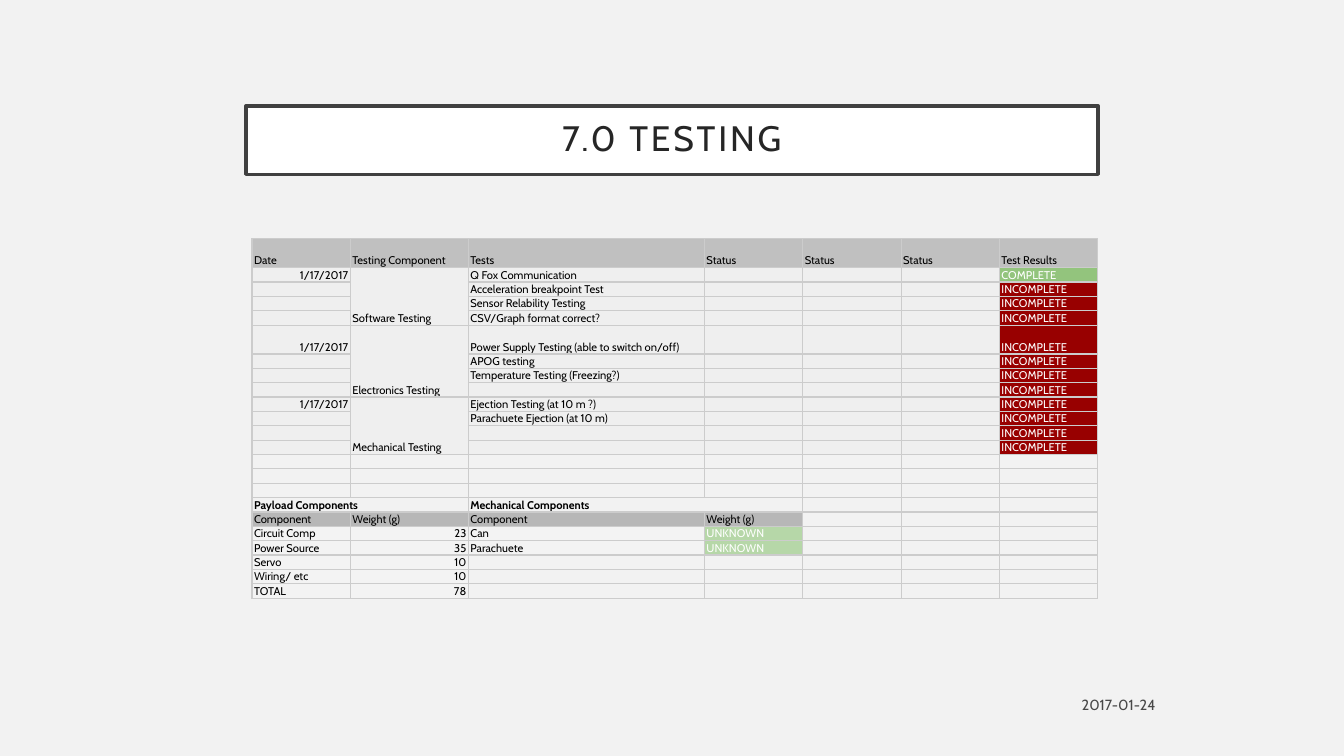
import dataclasses

import lxml.etree
import pptx
import pptx.dml.color
import pptx.enum.text
import pptx.oxml
import pptx.oxml.ns
import pptx.util

ALIGN = pptx.enum.text.PP_ALIGN
ANCHOR = pptx.enum.text.MSO_ANCHOR
INCH = pptx.util.Inches


@dataclasses.dataclass(frozen=True)
class Theme:
    """Colours and type sizes of the slide."""

    font: str = "Cabin"
    background: str = "F2F2F2"
    panel: str = "FFFFFF"
    frame: str = "404040"
    heading: str = "262626"
    muted: str = "494949"
    ink: str = "000000"
    light: str = "FFFFFF"
    rule: str = "CCCCCC"
    header: str = "C0C0C0"
    subheader: str = "B7B7B7"
    test: str = "EFEFEF"
    weight: str = "F3F3F3"
    complete: str = "93C47D"
    incomplete: str = "980000"
    unknown: str = "B6D7A8"
    title_size: float = 25.2
    date_size: float = 10.5
    table_size: float = 8


THEME = Theme()
STATUS_FILLS = {
    "COMPLETE": THEME.complete,
    "INCOMPLETE": THEME.incomplete,
    "UNKNOWN": THEME.unknown,
}
COLUMN_UNITS = (5, 6, 12, 5, 5, 5, 5)
HEADINGS = ("Date", "Testing Component", "Tests", "Status", "Status", "Status", "Test Results")
TEST_DATE = "1/17/2017"
TEST_GROUPS = {
    "Software Testing": (
        "Q Fox Communication",
        "Acceleration breakpoint Test",
        "Sensor Relability Testing",
        "CSV/Graph format correct?",
    ),
    "Electronics Testing": (
        "Power Supply Testing (able to switch on/off)",
        "APOG testing",
        "Temperature Testing (Freezing?)",
        "",
    ),
    "Mechanical Testing": (
        "Ejection Testing (at 10 m ?)",
        "Parachuete Ejection (at 10 m)",
        "",
        "",
    ),
}
SPACER_ROWS = 3
COMPONENT_ROWS = (
    ("Component", "Weight (g)", "Component", "Weight (g)"),
    ("Circuit Comp", "23", "Can", "UNKNOWN"),
    ("Power Source", "35", "Parachuete", "UNKNOWN"),
    ("Servo", "10", "", ""),
    ("Wiring/ etc", "10", "", ""),
    ("TOTAL", "78", "", ""),
)
TEST_ROWS = sum(len(tests) for tests in TEST_GROUPS.values())
COMPONENTS_TOP = 1 + TEST_ROWS + SPACER_ROWS
ROW_COUNT = COMPONENTS_TOP + 1 + len(COMPONENT_ROWS)
TALL_ROWS = (0, 5)


def rgb(value):
    """Return a colour object for a hex value."""
    return pptx.dml.color.RGBColor.from_string(value)


def write(paragraph, words, size, colour, align, bold=False):
    """Add one formatted run to a paragraph and return it."""
    paragraph.alignment = align
    run = paragraph.add_run()
    run.text = words
    run.font.name = THEME.font
    run.font.size = pptx.util.Pt(size)
    run.font.bold = bold
    run.font.color.rgb = rgb(colour)
    return run


def add_title(slide, box):
    """Place the framed slide title in its box."""
    title = slide.shapes.title
    title.left, title.top, title.width, title.height = box
    title.fill.solid()
    title.fill.fore_color.rgb = rgb(THEME.panel)
    title.line.color.rgb = rgb(THEME.frame)
    title.line.width = pptx.util.Pt(2.5)
    frame = title.text_frame
    frame.auto_size = pptx.enum.text.MSO_AUTO_SIZE.NONE
    frame.word_wrap = True
    frame.vertical_anchor = ANCHOR.MIDDLE
    frame.margin_left = frame.margin_right = INCH(0.2)
    frame.margin_top = frame.margin_bottom = INCH(0.2)
    heading = frame.paragraphs[0]
    heading.line_spacing = 0.9
    run = write(heading, "7.0 TESTING", THEME.title_size, THEME.heading, ALIGN.CENTER)
    run.font._element.set("spc", "200")


def add_date(slide, box):
    """Place the right-aligned date in its box."""
    frame = slide.shapes.add_textbox(*box).text_frame
    frame.word_wrap = True
    frame.vertical_anchor = ANCHOR.MIDDLE
    write(frame.paragraphs[0], "2017-01-24", THEME.date_size, THEME.muted, ALIGN.RIGHT)


def draw_borders(cell):
    """Rule all four sides of a cell."""
    properties = cell._tc.get_or_add_tcPr()
    for index, side in enumerate(("lnL", "lnR", "lnT", "lnB")):
        properties.insert(index, pptx.oxml.parse_xml(
            f'<a:{side} {pptx.oxml.ns.nsdecls("a")} w="12700"><a:solidFill>'
            f'<a:srgbClr val="{THEME.rule}"/></a:solidFill></a:{side}>'))


def fill_cell(cell, words="", fill=None, align=ALIGN.LEFT, bold=False):
    """Fill, rule and letter one table cell."""
    fill = STATUS_FILLS.get(words, fill)
    if fill:
        cell.fill.solid()
        cell.fill.fore_color.rgb = rgb(fill)
    else:
        cell.fill.background()
    draw_borders(cell)
    cell.vertical_anchor = ANCHOR.BOTTOM
    cell.margin_left = cell.margin_right = INCH(0.02)
    cell.margin_top = cell.margin_bottom = 0
    paragraph = cell.text_frame.paragraphs[0]
    if words:
        colour = THEME.light if words in STATUS_FILLS else THEME.ink
        write(paragraph, words, THEME.table_size, colour, align, bold)
    else:
        ending = lxml.etree.SubElement(paragraph._p, pptx.oxml.ns.qn("a:endParaRPr"))
        ending.set("sz", str(int(THEME.table_size * 100)))


def collect_cells():
    """Return the contents of the lettered or filled cells by position."""
    cells = {(0, column): (words, THEME.header) for column, words in enumerate(HEADINGS)}
    row = 1
    for component, tests in TEST_GROUPS.items():
        for index, test in enumerate(tests):
            date, group = (TEST_DATE, component) if index == 0 else ("", "")
            result = "COMPLETE" if row == 1 else "INCOMPLETE"
            for column, words in enumerate((date, group, test, "", "", "", result)):
                align = ALIGN.RIGHT if column == 0 else ALIGN.LEFT
                cells[row, column] = (words, THEME.test, align)
            row += 1
    for column, words in ((0, "Payload Components"), (2, "Mechanical Components")):
        cells[COMPONENTS_TOP, column] = (words, None, ALIGN.LEFT, True)
    for row, parts in enumerate(COMPONENT_ROWS, COMPONENTS_TOP + 1):
        fill = THEME.subheader if parts == COMPONENT_ROWS[0] else THEME.weight
        for column, words in enumerate(parts):
            align = ALIGN.RIGHT if words.isdigit() else ALIGN.LEFT
            cells[row, column] = (words, fill if words else None, align)
    return cells


def add_test_table(slide, box):
    """Place the table of tests and component weights in its box."""
    table = slide.shapes.add_table(ROW_COUNT, len(COLUMN_UNITS), *box).table
    table.first_row = table.horz_banding = False
    for column, units in zip(table.columns, COLUMN_UNITS):
        column.width = int(box[2] * units / sum(COLUMN_UNITS))
    for index, row in enumerate(table.rows):
        units = 2 if index in TALL_ROWS else 1
        row.height = int(box[3] * units / (ROW_COUNT + len(TALL_ROWS)))
    cells = collect_cells()
    for row in range(ROW_COUNT):
        for column in range(len(COLUMN_UNITS)):
            fill_cell(table.cell(row, column), *cells.get((row, column), ()))
    top = 1
    for tests in TEST_GROUPS.values():
        table.cell(top, 1).merge(table.cell(top + len(tests) - 1, 1))
        top += len(tests)
    for column in (0, 2):
        table.cell(COMPONENTS_TOP, column).merge(table.cell(COMPONENTS_TOP, column + 1))


def main():
    """Build and save the testing slide."""
    deck = pptx.Presentation()
    deck.slide_width, deck.slide_height = INCH(13.33), INCH(7.5)
    slide = deck.slides.add_slide(deck.slide_layouts[5])
    slide.background.fill.solid()
    slide.background.fill.fore_color.rgb = rgb(THEME.background)
    add_title(slide, [INCH(length) for length in (2.44, 1.05, 8.45, 0.68)])
    add_date(slide, [INCH(length) for length in (8.55, 6.82, 3.01, 0.35)])
    add_test_table(slide, [INCH(length) for length in (2.5, 2.37, 8.39, 3.57)])
    deck.save("out.pptx")


if __name__ == "__main__":
    main()
